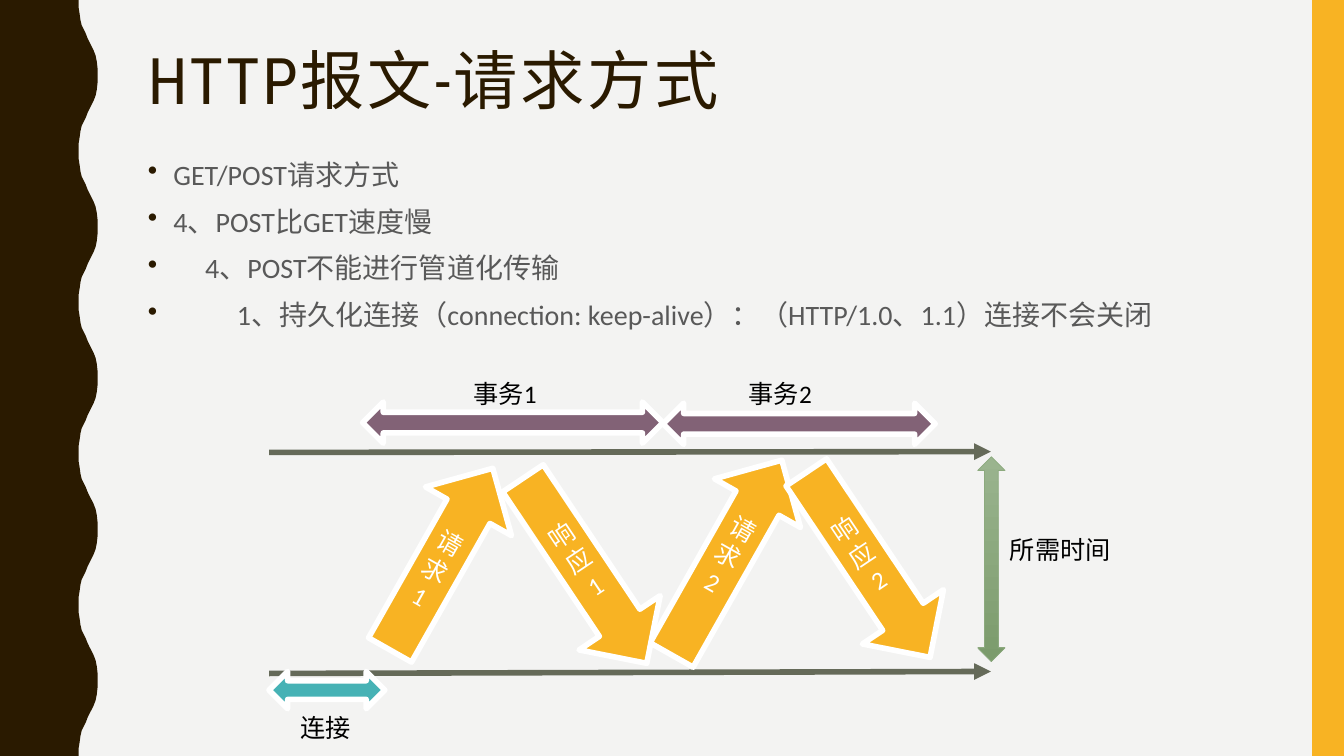
from lxml.etree import SubElement
from pptx import Presentation
from pptx.dml.color import RGBColor
from pptx.enum.shapes import MSO_CONNECTOR, MSO_SHAPE
from pptx.enum.text import MSO_ANCHOR, PP_ALIGN
from pptx.oxml.ns import qn
from pptx.util import Cm, Pt

WIDTH, HEIGHT = 33.87, 19.05
DARK, GOLD, GREY, WHITE = "2A1A00", "F8B323", "595959", "FFFFFF"
TEAL, PLUM, OLIVE = "46B2B5", "826276", "656A59"

TITLE = "HTTP报文-请求方式"
BULLETS = [
    ("GET/POST请求方式", 0),
    ("4、POST比GET速度慢", 0),
    ("4、POST不能进行管道化传输", 1),
    ("1、持久化连接（connection: keep-alive）：（HTTP/1.0、1.1）连接不会关闭", 2),
]
TIMELINES = [(6.78, 11.4, 24.97, 11.38), (6.78, 16.97, 24.97, 16.92)]
UP, DOWN = (MSO_SHAPE.UP_ARROW, 29.5), (MSO_SHAPE.DOWN_ARROW, 326.2)
MESSAGES = [
    (UP, (9.88, 11.46, 2.49, 5.26), ["请求1"], 0.13),
    (UP, (17.07, 11.23, 2.49, 5.64), ["请求2"], 0.89),
    (DOWN, (13.51, 11.58, 2.46, 5.61), ["响应", "1"], 0.13),
    (DOWN, (20.65, 11.43, 2.46, 5.61), ["响应", "2"], 0.13),
]
SPANS = [
    ((6.78, 16.92, 2.92, 0.94), TEAL),
    ((9.14, 10.13, 7.57, 1.04), PLUM),
    ((16.71, 10.16, 6.86, 1.04), PLUM),
]
LABELS = [
    ("连接", 7.32, 17.83),
    ("事务1", 11.68, 9.4),
    ("事务2", 18.62, 9.4),
    ("所需时间", 25.2, 13.34),
]
PERIOD = 3.81
HALF_WAVE = [
    (1.98, 0), (1.98, 0.18), (2.01, 0.36), (2.03, 0.51), (2.06, 0.64),
    (2.11, 0.74), (2.16, 0.84), (2.21, 0.97), (2.26, 1.07), (2.31, 1.17),
    (2.36, 1.27), (2.41, 1.4), (2.44, 1.55), (2.46, 1.73), (2.46, 1.91),
]


def color(value):
    return RGBColor.from_string(value)


def paint(sp, fill, line=None, width=4):
    sp.shadow.inherit = False
    sp.fill.solid()
    sp.fill.fore_color.rgb = color(fill)
    if line:
        sp.line.color.rgb = color(line)
        sp.line.width = Pt(width)
    else:
        sp.line.fill.background()


def add_shape(kind, box, fill, line=None, width=4):
    sp = s.shapes.add_shape(kind, *map(Cm, box))
    paint(sp, fill, line, width)
    return sp


def add_text(box, lines, size, fill, font="Calibri"):
    tf = s.shapes.add_textbox(*map(Cm, box)).text_frame
    tf.word_wrap = True
    write(tf, lines, size, fill, font)
    return tf


def write(tf, lines, size, fill, font="Calibri"):
    tf.text = "\n".join(lines)
    for p in tf.paragraphs:
        for r in p.runs:
            r.font.size = Pt(size)
            r.font.name = font
            r.font.color.rgb = color(fill)


def add_bullet(p, indent):
    pPr = p._p.get_or_add_pPr()
    pPr.set("marL", str(Cm(indent)))
    pPr.set("indent", str(-Cm(indent)))
    tint = SubElement(pPr, qn("a:buClr"))
    SubElement(tint, qn("a:srgbClr")).set("val", DARK)
    SubElement(pPr, qn("a:buChar")).set("char", "•")


def add_wave():
    mirrored = [(x, PERIOD - y) for x, y in HALF_WAVE[-2::-1]]
    period = HALF_WAVE + mirrored
    edge = [(x, y + n * PERIOD) for n in range(5) for x, y in period]
    points = [(Cm(x), Cm(y)) for x, y in edge + [(0, HEIGHT)]]
    builder = s.shapes.build_freeform(0, 0)
    builder.add_line_segments(points, close=True)
    paint(builder.convert_to_shape(), DARK)


prs = Presentation()
prs.slide_width, prs.slide_height = Cm(WIDTH), Cm(HEIGHT)
s = prs.slides.add_slide(prs.slide_layouts[6])
s.background.fill.solid()
s.background.fill.fore_color.rgb = color("F3F3F2")

add_wave()
add_shape(MSO_SHAPE.RECTANGLE, (WIDTH - 0.8, 0, 0.8, HEIGHT), GOLD)

tf = add_text((3.48, 1.07, 28.27, 2.06), [TITLE], 45.9, DARK, "Roboto Condensed")
tf.vertical_anchor = MSO_ANCHOR.MIDDLE
tf.paragraphs[0].line_spacing = 0.9
tf.paragraphs[0].runs[0]._r.get_or_add_rPr().set("spc", "200")

tf = add_text((3.48, 3.76, 28.91, 12.57), [text for text, level in BULLETS], 20, GREY)
for i, (p, (text, level)) in enumerate(zip(tf.paragraphs, BULLETS)):
    add_bullet(p, 0.64 + 0.8 * level)
    p.line_spacing = 1.1
    p.space_before = Pt(7 if i else 0)

for x1, y1, x2, y2 in TIMELINES:
    line = s.shapes.add_connector(MSO_CONNECTOR.STRAIGHT, Cm(x1), Cm(y1), Cm(x2), Cm(y2))
    line.line.color.rgb = color(OLIVE)
    line.line.width = Pt(4)
    SubElement(line.line._get_or_add_ln(), qn("a:tailEnd")).set("type", "triangle")
    SubElement(line._element.spPr, qn("a:effectLst"))

for (kind, angle), box, lines, bottom in MESSAGES:
    sp = add_shape(kind, box, GOLD, WHITE)
    sp.rotation = angle
    tf = sp.text_frame
    tf.word_wrap = True
    tf.vertical_anchor = MSO_ANCHOR.MIDDLE
    tf.margin_bottom = Cm(bottom)
    write(tf, lines, 18, WHITE)
    for p in tf.paragraphs:
        p.alignment = PP_ALIGN.CENTER

for box, fill in SPANS:
    add_shape(MSO_SHAPE.LEFT_RIGHT_ARROW, box, fill, WHITE)

for text, x, y in LABELS:
    add_text((x, y, 3.66, 1.04), [text], 18, "000000")

sp = add_shape(MSO_SHAPE.UP_DOWN_ARROW, (24.64, 11.51, 0.69, 5.16), "8BAC7C", "8CAA7E", 0.5)
sp.fill.gradient()
sp.fill.gradient_angle = 270
for stop, tint in zip(sp.fill.gradient_stops, ("9AB48E", "7B9B6C")):
    stop.color.rgb = color(tint)

prs.save("out.pptx")
